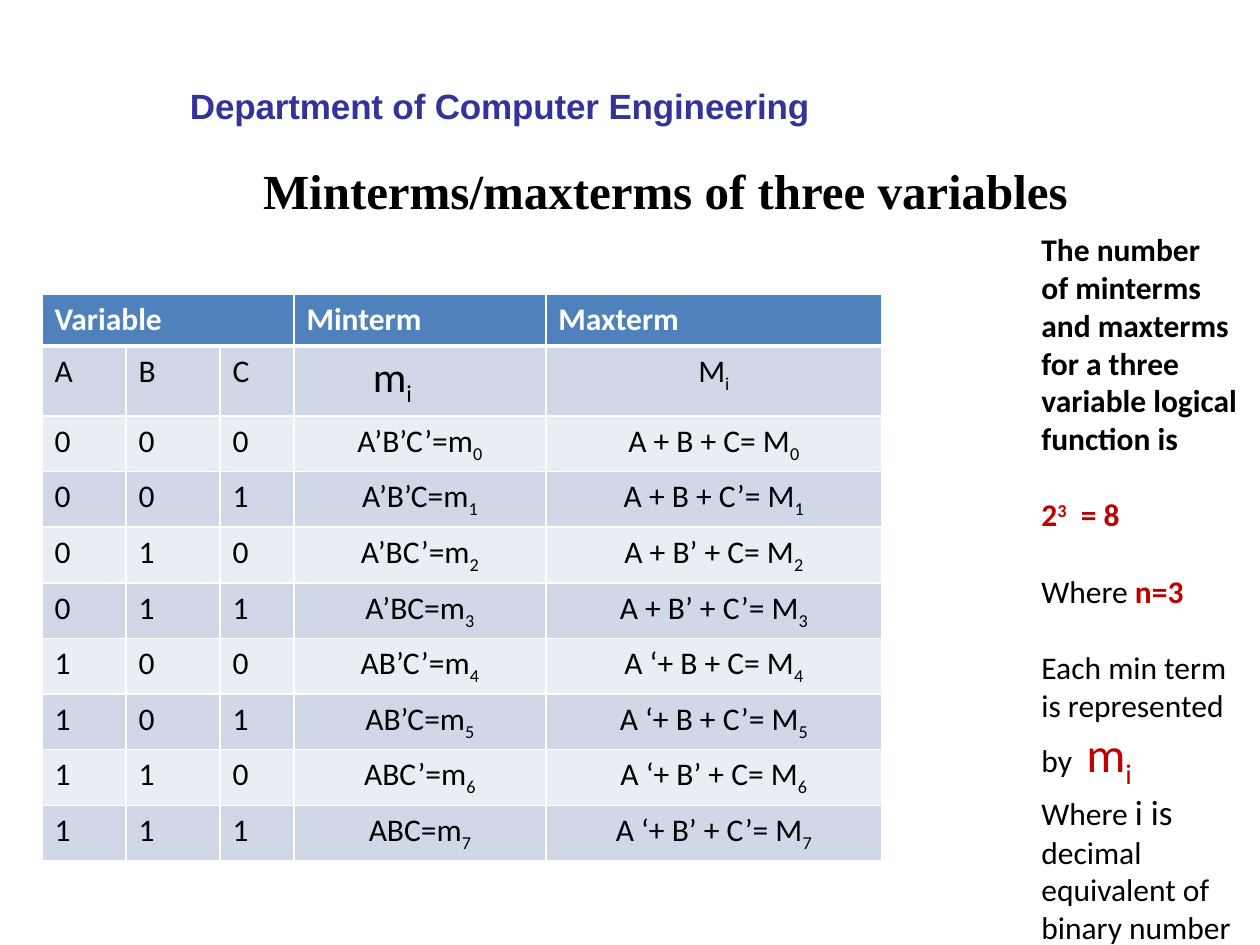
from lxml import etree
from pptx import Presentation, util as u
from pptx.dml.color import RGBColor
from pptx.enum import text
from pptx.oxml import ns

PIXEL = 914400 // 126


def color(value):
    return RGBColor.from_string(value)


def add_runs(paragraph, runs):
    for content, size, fill, bold, baseline in runs:
        run = paragraph.add_run()
        run.text = content
        run.font.name = "Calibri"
        run.font.size = u.Pt(size)
        run.font.bold = bold
        run.font.color.rgb = color(fill)
        if baseline:
            run._r.get_or_add_rPr().set("baseline", str(baseline * 1000))


BLACK, WHITE, RED, NAVY = "000000", "FFFFFF", "C00000", "333399"
HEADER, BAND_DARK, BAND_LIGHT = "4F81BD", "D0D8E8", "E9EDF4"

presentation = Presentation()
presentation.slide_width = u.Inches(10)
presentation.slide_height = u.Inches(7.5)
slide = presentation.slides.add_slide(presentation.slide_layouts[5])

title = slide.shapes.title
department = slide.shapes.add_textbox(0, 0, 0, 0)
headings = [
    (title, (145, 161, 1041, 59), "Minterms/maxterms of three variables",
     "Times New Roman", 28, BLACK, text.PP_ALIGN.CENTER),
    (department, (189, 83, 627, 45), "Department of Computer Engineering",
     "Arial", 20, NAVY, text.PP_ALIGN.LEFT),
]
for shape, box, content, font_name, size, fill, alignment in headings:
    shape.left, shape.top, shape.width, shape.height = [v * PIXEL for v in box]
    frame = shape.text_frame
    frame.word_wrap = True
    frame.auto_size = text.MSO_AUTO_SIZE.NONE
    frame.vertical_anchor = text.MSO_ANCHOR.TOP
    frame.margin_left = frame.margin_top = frame.margin_right = frame.margin_bottom = 0
    paragraph = frame.paragraphs[0]
    paragraph.text = content
    paragraph.alignment = alignment
    paragraph.font.name = font_name
    paragraph.font.size = u.Pt(size)
    paragraph.font.bold = True
    paragraph.font.color.rgb = color(fill)
department.text_frame.margin_left = department.text_frame.margin_top = PIXEL
department.text_frame.paragraphs[0].space_before = u.Pt(1)
department.text_frame.paragraphs[0].runs[0]._r.get_or_add_rPr().set("spc", "-10")

sidebar = slide.shapes.add_textbox(*[v * PIXEL for v in (1029, 224, 221, 730)])
sidebar.text_frame.word_wrap = True
notes = [
    (0, [("The number ", 18, BLACK, True, 0)]),
    (0, [("of minterms and maxterms for a three variable logical function is",
          18, BLACK, True, 0)]),
    (22, [("2", 18, RED, True, 0), ("3", 18, RED, True, 30), ("  = 8", 18, RED, True, 0)]),
    (22, [("Where ", 18, BLACK, False, 0), ("n=3", 18, RED, True, 0)]),
    (22, [("Each min term is represented by  ", 18, BLACK, False, 0),
          ("m", 28, RED, False, 0), ("i", 28, RED, False, -25)]),
    (0, [("Where ", 18, BLACK, False, 0), ("i is ", 20, BLACK, False, 0),
         ("decimal equivalent of binary number", 18, BLACK, False, 0)]),
]
for index, (gap, runs) in enumerate(notes):
    frame = sidebar.text_frame
    paragraph = frame.add_paragraph() if index else frame.paragraphs[0]
    paragraph.space_before = u.Pt(gap)
    add_runs(paragraph, runs)

minterms = ["A’B’C’", "A’B’C", "A’BC’", "A’BC", "AB’C’", "AB’C", "ABC’", "ABC"]
maxterms = ["A + B + C", "A + B + C’", "A + B’ + C", "A + B’ + C’",
            "A ‘+ B + C", "A ‘+ B + C’", "A ‘+ B’ + C", "A ‘+ B’ + C’"]
rows = [["Variable", "", "", "Minterm", "Maxterm"], ["A", "B", "C", "m_i", "M_i"]]
for number, (minterm, maxterm) in enumerate(zip(minterms, maxterms)):
    rows.append([*f"{number:03b}", f"{minterm}=m_{number}", f"{maxterm}= M_{number}"])

column_widths = [84, 94, 74, 252, 336]
table = slide.shapes.add_table(
    len(rows), len(column_widths), 42 * PIXEL, 294 * PIXEL,
    sum(column_widths) * PIXEL, len(rows) * 52 * PIXEL).table
for column, width in zip(table.columns, column_widths):
    column.width = width * PIXEL
table.cell(0, 0).merge(table.cell(0, 2))

for row, values in enumerate(rows):
    for column, value in enumerate(values):
        cell = table.cell(row, column)
        for side in "LRTB":
            thick = (row, side) in [(0, "B"), (1, "T")]
            line = etree.SubElement(cell._tc.get_or_add_tcPr(), ns.qn(f"a:ln{side}"),
                                    w=str(u.Pt(3 if thick else 1)))
            solid = etree.SubElement(line, ns.qn("a:solidFill"))
            etree.SubElement(solid, ns.qn("a:srgbClr"), val=WHITE)
        cell.fill.solid()
        band = BAND_DARK if row % 2 else BAND_LIGHT
        cell.fill.fore_color.rgb = color(band if row else HEADER)
        if not value:
            continue
        paragraph = cell.text_frame.paragraphs[0]
        size = 24 if value == "m_i" else 18
        if value == "m_i":
            cell.margin_left = 79 * PIXEL
        elif row and column > 2:
            paragraph.alignment = text.PP_ALIGN.CENTER
        base, _, subscript = value.partition("_")
        ink = BLACK if row else WHITE
        runs = [(base, size, ink, row == 0, 0)]
        if subscript:
            runs.append((subscript, size, ink, False, -25))
        add_runs(paragraph, runs)

presentation.save("out.pptx")
